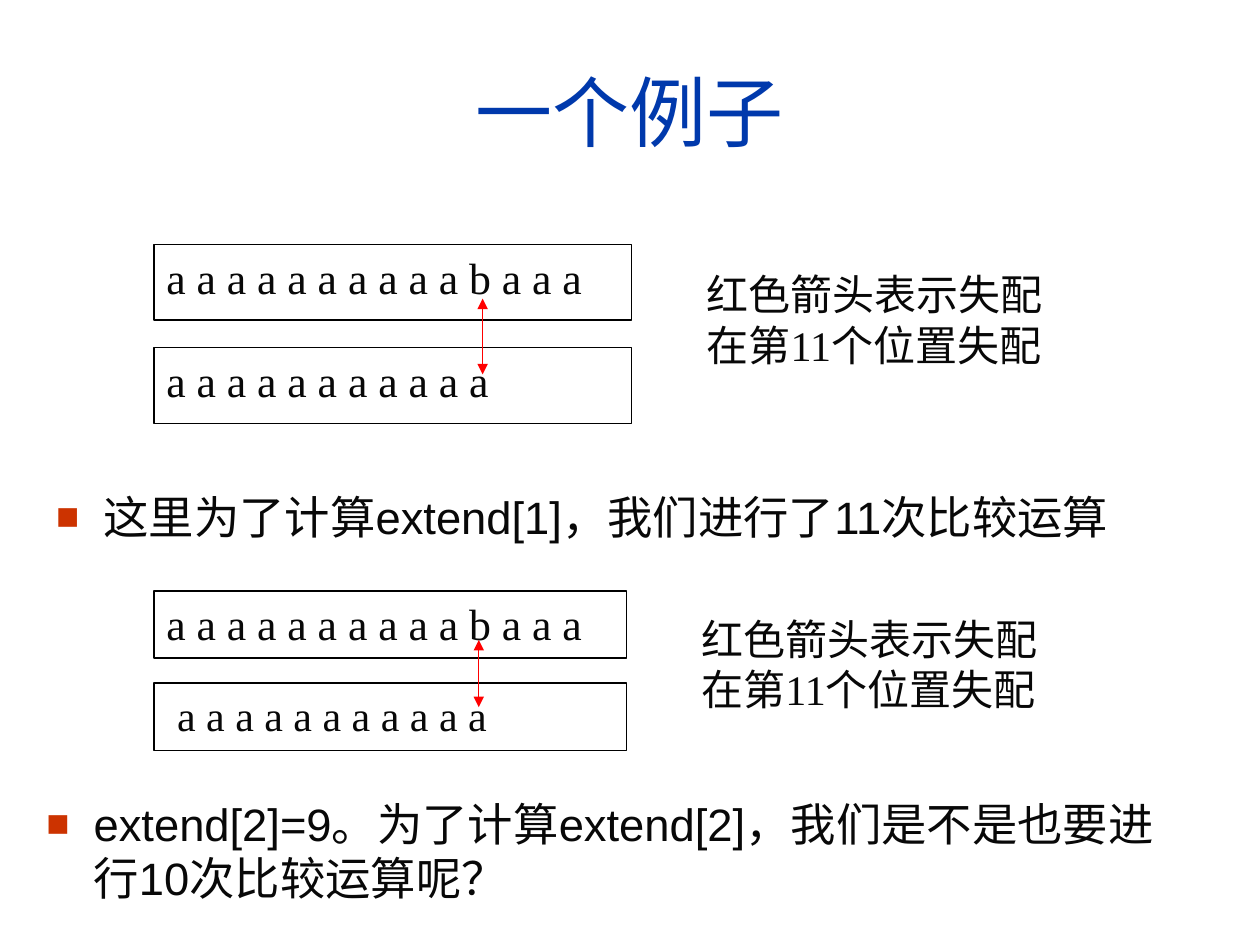
from dataclasses import dataclass

from lxml import etree
from pptx import Presentation
from pptx import util as u
from pptx.dml.color import RGBColor
from pptx.enum import shapes, text
from pptx.oxml import ns


@dataclass(frozen=True)
class Theme:
    ink: str = "080808"
    blue: str = "0039AC"
    red: str = "FF0000"
    rust: str = "CC3300"
    edge: str = "000000"
    paper: str = "FFFFFF"
    sans: str = "Arial"
    serif: str = "Times New Roman"
    title: float = 44
    body: float = 25.9
    code: float = 25
    note: float = 24
    line: float = 0.75


def color(code):
    return RGBColor.from_string(code)


def node(parent, tag, **attrs):
    return etree.SubElement(parent, ns.qn("a:" + tag), attrs)


def bullet(para, tone):
    props = para._p.get_or_add_pPr()
    props.set("marL", str(u.Pt(27)))
    props.set("indent", str(u.Pt(-27)))
    node(node(props, "buClr"), "srgbClr", val=tone)
    node(props, "buSzPct", val="85000")
    node(props, "buFont", typeface="Arial")
    node(props, "buChar", char="■")


def write(frame, words, *, font, size, tone, align=text.PP_ALIGN.LEFT,
          anchor=text.MSO_ANCHOR.TOP, mark=None, inset=0):
    frame.word_wrap = True
    frame.auto_size = text.MSO_AUTO_SIZE.NONE
    frame.vertical_anchor = anchor
    frame.margin_left = u.Pt(7.2 + inset)
    frame.margin_right = u.Pt(7.2)
    frame.margin_top = frame.margin_bottom = u.Pt(3.6)
    for i, line in enumerate(words.split("\n")):
        para = frame.add_paragraph() if i else frame.paragraphs[0]
        para.alignment = align
        if mark:
            bullet(para, mark)
        run = para.add_run()
        run.text = line
        run.font.name = font
        run.font.size = u.Pt(size)
        run.font.color.rgb = color(tone)


class Deck:
    def __init__(self, theme):
        self.theme = theme
        self.file = Presentation()
        self.file.slide_width = u.Pt(720)
        self.file.slide_height = u.Pt(540)
        self.slide = self.file.slides.add_slide(self.file.slide_layouts[6])

    def label(self, root, spot, words, **style):
        box = root.add_textbox(*map(u.Pt, spot))
        write(box.text_frame, words, **style)

    def title(self, words):
        t = self.theme
        self.label(self.slide.shapes, (24, 18, 672, 90), words, font=t.sans,
                   size=t.title, tone=t.blue, align=text.PP_ALIGN.CENTER,
                   anchor=text.MSO_ANCHOR.MIDDLE)

    def point(self, spot, words):
        t = self.theme
        self.label(self.slide.shapes, spot, words, font=t.sans,
                   size=t.body, tone=t.ink, mark=t.rust)

    def string(self, root, spot, words, size, inset=0):
        t = self.theme
        box = root.add_shape(shapes.MSO_SHAPE.RECTANGLE, *map(u.Pt, spot))
        box.shadow.inherit = False
        box.fill.solid()
        box.fill.fore_color.rgb = color(t.paper)
        box.line.color.rgb = color(t.edge)
        box.line.width = u.Pt(t.line)
        write(box.text_frame, words, font=t.serif, size=size, tone=t.ink,
              align=text.PP_ALIGN.JUSTIFY, inset=inset)

    def arrow(self, root, x, top, end):
        t = self.theme
        line = root.add_connector(shapes.MSO_CONNECTOR.STRAIGHT,
                                  *map(u.Pt, (x, top, x, end)))
        line.line.color.rgb = color(t.red)
        line.line.width = u.Pt(t.line)
        stroke = line.line._get_or_add_ln()
        for tip in ("headEnd", "tailEnd"):
            node(stroke, tip, type="triangle")
        node(line._element.spPr, "effectLst")

    def match(self, top, wide, tall, step, x, rise, note, size, inset=0):
        t = self.theme
        root = self.slide.shapes.add_group_shape().shapes
        self.string(root, (88, top, wide, tall),
                    "a a a a a a a a a a b a a a", t.code)
        self.string(root, (88, top + step, wide, tall),
                    "a a a a a a a a a a a", size, inset)
        self.arrow(root, x, top + rise, top + rise + tall)
        self.label(root, note, "红色箭头表示失配\n在第11个位置失配",
                   font=t.serif, size=t.note, tone=t.ink,
                   align=text.PP_ALIGN.JUSTIFY)


def main():
    theme = Theme()
    deck = Deck(theme)
    deck.title("一个例子")
    deck.point((25, 276, 672, 45), "这里为了计算extend[1]，我们进行了11次比较运算")
    deck.match(139.7, 273, 43.2, 59, 275.8, 31, (396.7, 150, 218, 86), theme.code)
    deck.match(337.7, 270, 38.4, 52.6, 273.6, 28, (393.8, 347, 216, 76),
               theme.note, inset=6)
    deck.point((19.4, 451.4, 672, 73),
               "extend[2]=9。为了计算extend[2]，我们是不是也要进行10次比较运算呢？")
    deck.file.save("out.pptx")


if __name__ == "__main__":
    main()
